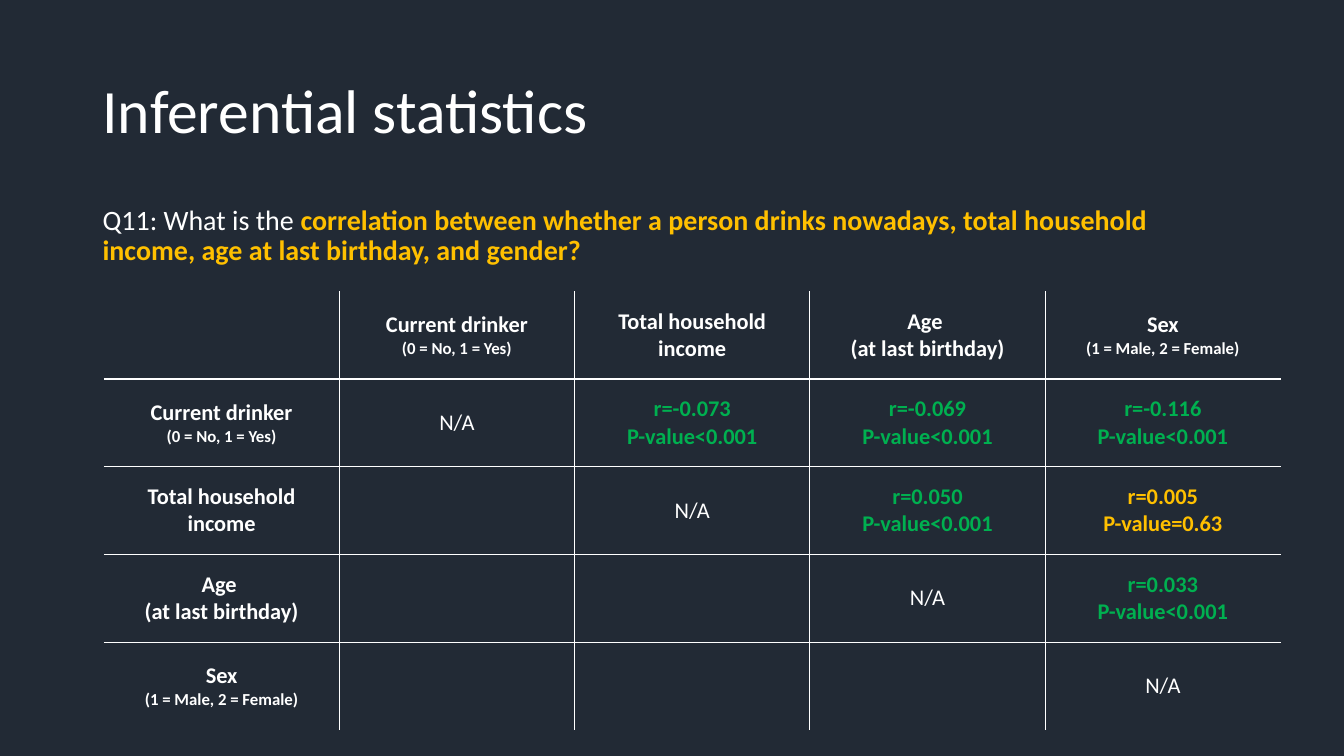
from lxml import etree
from pptx import Presentation
from pptx.dml.color import RGBColor
from pptx.enum.text import MSO_ANCHOR, MSO_AUTO_SIZE, PP_ALIGN
from pptx.oxml.ns import qn
from pptx.util import Cm, Pt

LEFT, CENTER = PP_ALIGN.LEFT, PP_ALIGN.CENTER
TOP, MIDDLE = MSO_ANCHOR.TOP, MSO_ANCHOR.MIDDLE
FIXED = MSO_AUTO_SIZE.NONE

THEME = {
    "font": "Calibri",
    "back": "222A35", "white": "FFFFFF", "gold": "FFC000", "green": "00B050",
    "title": 44, "body": 20, "cell": 16, "note": 12, "rule": 1,
}

TITLE = "Inferential statistics"
QUERY = [
    ("Q11: What is the ", "white", False),
    ("correlation between whether a person drinks nowadays, total household "
     "income, age at last birthday, and gender?", "gold", True),
]
FACTORS = [
    [("Current drinker", "cell"), ("(0 = No, 1 = Yes)", "note")],
    [("Total household income", "cell")],
    [("Age ", "cell"), ("(at last birthday)", "cell")],
    [("Sex", "cell"), ("(1 = Male, 2 = Female)", "note")],
]
RESULTS = {
    (1, 2): ("r=-0.073", "P-value<0.001", "green"),
    (1, 3): ("r=-0.069", "P-value<0.001", "green"),
    (1, 4): ("r=-0.116", "P-value<0.001", "green"),
    (2, 3): ("r=0.050", "P-value<0.001", "green"),
    (2, 4): ("r=0.005", "P-value=0.63", "gold"),
    (3, 4): ("r=0.033", "P-value<0.001", "green"),
}

PLACES = {
    "title": (2.33, 1.01, 29.21, 3.68),
    "body": (2.33, 5.07, 29.21, 12.1),
    "table": (2.62, 7.34, 29.65, 11.05),
}


def apply(item, values):
    for name, value in values.items():
        setattr(item, name, value)


def write(para, text, size, color, bold):
    run = para.add_run()
    run.text = text
    apply(run.font, {"name": THEME["font"], "size": Pt(THEME[size]), "bold": bold})
    run.font.color.rgb = RGBColor.from_string(THEME[color])


def place(shape, role, anchor, runs):
    spots = map(Cm, PLACES[role])
    apply(shape, dict(zip(("left", "top", "width", "height"), spots)))
    frame = shape.text_frame
    apply(frame, {"auto_size": FIXED, "word_wrap": True, "vertical_anchor": anchor})
    para = frame.paragraphs[0]
    apply(para, {"alignment": LEFT, "line_spacing": 0.9})
    for text, color, bold in runs:
        write(para, text, role, color, bold)
    return para


def border(cell, edges):
    props = cell._tc.get_or_add_tcPr()
    for side in "LRTB":
        line = etree.SubElement(props, qn("a:ln" + side), w=str(Pt(THEME["rule"])))
        if side in edges:
            fill = etree.SubElement(line, qn("a:solidFill"))
            etree.SubElement(fill, qn("a:srgbClr"), val=THEME["white"])
        else:
            etree.SubElement(line, qn("a:noFill"))


def content(row, col):
    if row == col:
        return [("N/A", "cell")] if row else [], "white", False
    if row == 0 or col == 0:
        return FACTORS[row + col - 1], "white", True
    *lines, color = RESULTS.get((row, col), ("white",))
    return [(text, "cell") for text in lines], color, True


def build_table(slide):
    count = len(FACTORS) + 1
    spots = map(Cm, PLACES["table"])
    table = slide.shapes.add_table(count, count, *spots).table
    apply(table, {"first_row": False, "horz_banding": False})
    for row in range(count):
        for col in range(count):
            cell = table.cell(row, col)
            inner = {"L": col > 0, "R": col < count - 1,
                     "T": row > 0, "B": row < count - 1}
            border(cell, [side for side, shown in inner.items() if shown])
            cell.fill.background()
            cell.vertical_anchor = MIDDLE
            lines, color, bold = content(row, col)
            for index, (text, size) in enumerate(lines):
                frame = cell.text_frame
                para = frame.add_paragraph() if index else frame.paragraphs[0]
                para.alignment = CENTER
                write(para, text, size, color, bold)


def main():
    """Build the correlation slide and save it."""
    deck = Presentation()
    apply(deck, {"slide_width": Cm(33.87), "slide_height": Cm(19.05)})
    slide = deck.slides.add_slide(deck.slide_layouts[1])
    fill = slide.background.fill
    fill.solid()
    fill.fore_color.rgb = RGBColor.from_string(THEME["back"])
    title, body = slide.placeholders
    place(title, "title", MIDDLE, [(TITLE, "white", False)])
    para = place(body, "body", TOP, QUERY)
    para.space_before = Pt(10)
    props = para._p.get_or_add_pPr()
    for name in ("marL", "indent"):
        props.set(name, "0")
    etree.SubElement(props, qn("a:buNone"))
    build_table(slide)
    deck.save("out.pptx")


if __name__ == "__main__":
    main()
